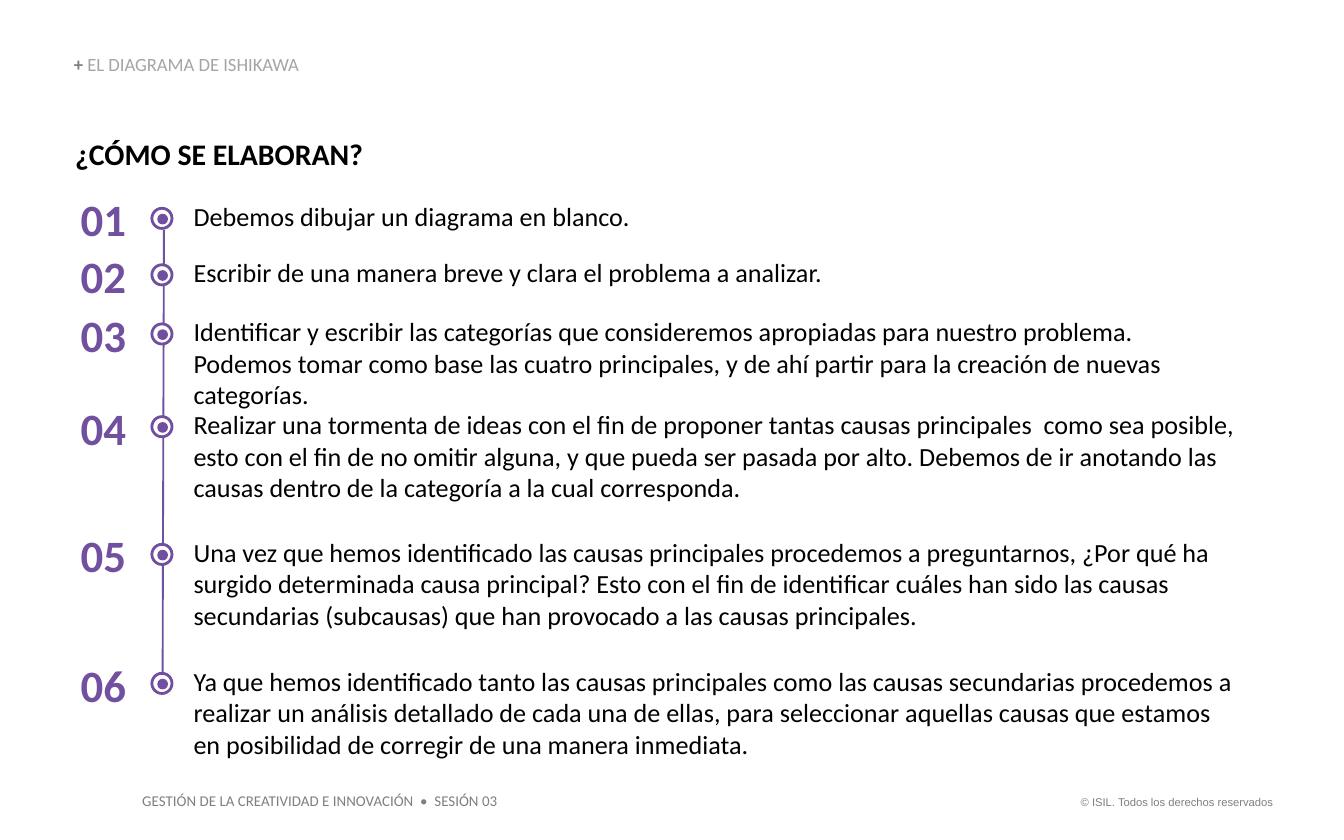
from pptx import Presentation
from pptx.dml.color import RGBColor
from pptx.enum.shapes import MSO_CONNECTOR, MSO_SHAPE
from pptx.enum.text import MSO_ANCHOR, PP_ALIGN
from pptx.oxml.ns import qn
from pptx.util import Pt
from lxml.etree import SubElement

PX = 9144
BLACK = RGBColor(0x00, 0x00, 0x00)
WHITE = RGBColor(0xFF, 0xFF, 0xFF)
GRAY = RGBColor(0x7F, 0x7F, 0x7F)
PALE = RGBColor(0xA5, 0xA5, 0xA5)
PURPLE = RGBColor(0x71, 0x50, 0xA0)
RING = RGBColor(0x71, 0x4F, 0xA0)

STEPS = [
    (143, "Debemos dibujar un diagrama en blanco."),
    (185, "Escribir de una manera breve y clara el problema a analizar."),
    (229, "Identificar y escribir las categorías que consideremos apropiadas para "
          "nuestro problema. Podemos tomar como base las cuatro principales, y de "
          "ahí partir para la creación de nuevas categorías."),
    (298, "Realizar una tormenta de ideas con el fin de proponer tantas causas "
          "principales  como sea posible, esto con el fin de no omitir alguna, y "
          "que pueda ser pasada por alto. Debemos de ir anotando las causas dentro "
          "de la categoría a la cual corresponda."),
    (393, "Una vez que hemos identificado las causas principales procedemos a "
          "preguntarnos, ¿Por qué ha surgido determinada causa principal? Esto con "
          "el fin de identificar cuáles han sido las causas secundarias "
          "(subcausas) que han provocado a las causas principales."),
    (489, "Ya que hemos identificado tanto las causas principales como las causas "
          "secundarias procedemos a realizar un análisis detallado de cada una de "
          "ellas, para seleccionar aquellas causas que estamos en posibilidad de "
          "corregir de una manera inmediata."),
]


def emu(*nums):
    return [n * PX for n in nums]


def add_text(slide, box, runs, align=PP_ALIGN.LEFT, anchor=MSO_ANCHOR.TOP,
             pad=(0, 0), wrap=True, lead=None):
    frame = slide.shapes.add_textbox(*emu(*box)).text_frame
    frame.word_wrap = wrap
    frame.vertical_anchor = anchor
    frame.margin_left = frame.margin_right = pad[0] * PX
    frame.margin_top = frame.margin_bottom = pad[1] * PX
    para = frame.paragraphs[0]
    para.alignment = align
    para.line_spacing = lead
    for words, size, color, bold, face in runs:
        run = para.add_run()
        run.text = words
        run.font.size = Pt(size)
        run.font.color.rgb = color
        run.font.bold = bold
        run.font.name = face


def add_disc(group, left, top, size, fill, line=None):
    disc = group.shapes.add_shape(MSO_SHAPE.OVAL, *emu(left, top, size, size))
    disc.shadow.inherit = False
    disc.fill.solid()
    disc.fill.fore_color.rgb = fill
    if line is None:
        disc.line.fill.background()
    else:
        disc.line.color.rgb = line
        disc.line.width = Pt(1.5)


def add_step(slide, box, label, words):
    left, top, width, height = box
    add_text(slide, (left, top, 44, 40), [(label, 24, PURPLE, True, "Calibri")],
             PP_ALIGN.CENTER)
    group = slide.shapes.add_group_shape()
    add_disc(group, left + 58, top + 12, 15, WHITE, RING)
    add_disc(group, left + 62, top + 16, 8, RING)
    add_text(slide, (left + 89, top + 6, width - 89, height),
             [(words, 14, BLACK, False, "Calibri")])


def add_steps(slide, box):
    left, top, width, height = box
    line = slide.shapes.add_connector(
        MSO_CONNECTOR.STRAIGHT,
        *emu(left + 67, top + 28, left + 66, top + height))
    line.line.color.rgb = PURPLE
    line.line.width = Pt(1)
    SubElement(line._element.spPr, qn("a:effectLst"))
    tall = [24, 24, 47, 71, 71, 71]
    for num, ((row, words), high) in enumerate(zip(STEPS, tall), 1):
        add_step(slide, (left, row, width, high), f"{num:02d}", words)


def add_head(slide, box):
    left, top, width, height = box
    add_text(slide, (left, top, 274, 15),
             [("+ ", 10, GRAY, True, "Calibri"),
              ("EL DIAGRAMA DE ISHIKAWA", 10, PALE, False, "Calibri")],
             anchor=MSO_ANCHOR.BOTTOM, lead=0.9)
    add_text(slide, (left + 1, top + height - 27, width - 1, 27),
             [("¿CÓMO SE ELABORAN?", 16, BLACK, True, "Calibri")])


def add_foot(slide, box):
    left, top, width, height = box
    add_text(slide, (left, top, 285, height),
             [("GESTIÓN DE LA CREATIVIDAD E INNOVACIÓN  •  SESIÓN 03",
               8, GRAY, False, "Calibri")], pad=(10, 5), wrap=False)
    add_text(slide, (left + width - 169, top + 3, 169, 20),
             [("© ISIL. Todos los derechos reservados", 6, GRAY, False, "Arial")],
             PP_ALIGN.RIGHT, pad=(10, 5))


def main():
    deck = Presentation()
    deck.slide_width, deck.slide_height = emu(1000, 625)
    slide = deck.slides.add_slide(deck.slide_layouts[6])
    add_foot(slide, (96, 584, 861, 24))
    add_head(slide, (55, 41, 867, 87))
    add_steps(slide, (55, 143, 866, 358))
    deck.save("out.pptx")


if __name__ == "__main__":
    main()
